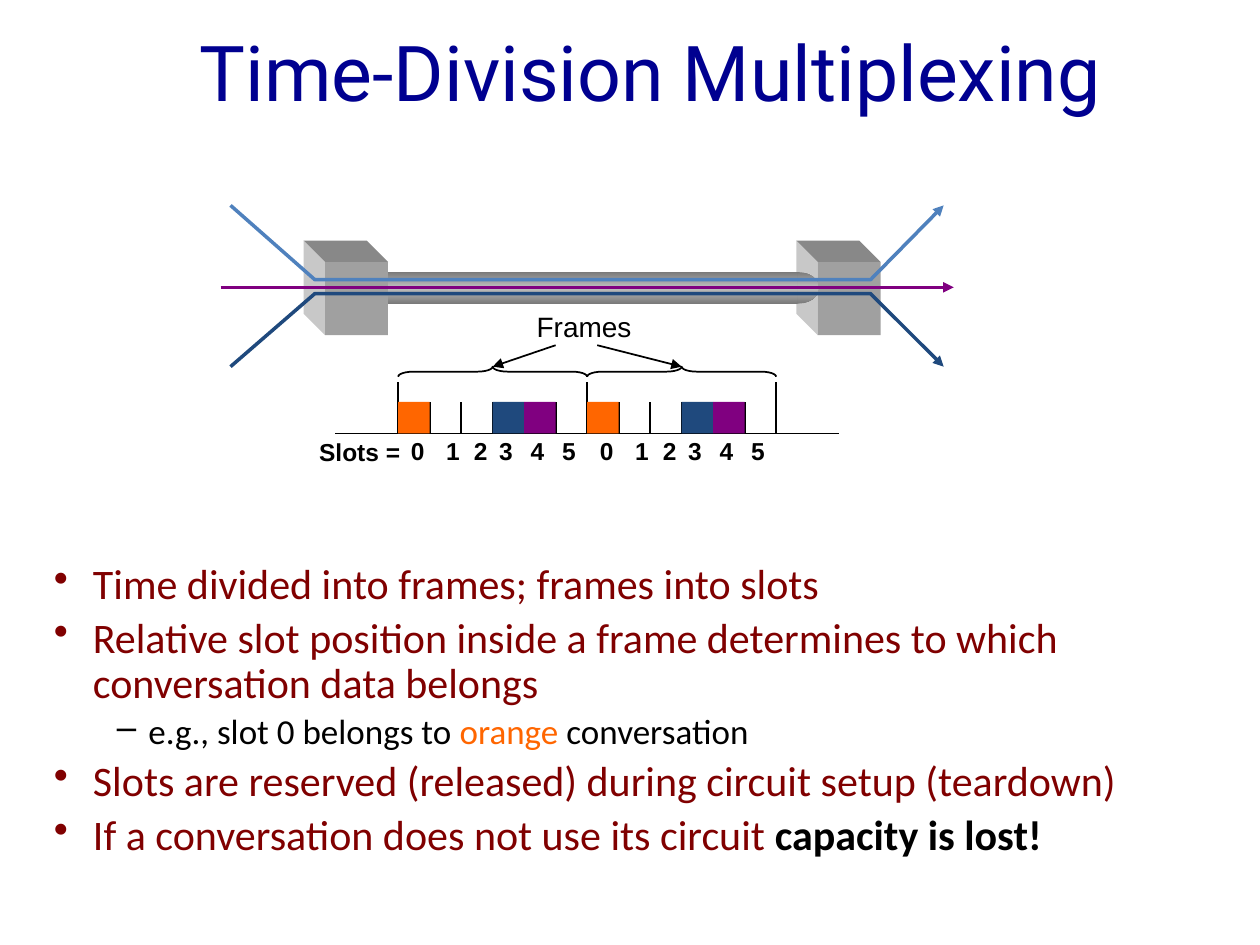
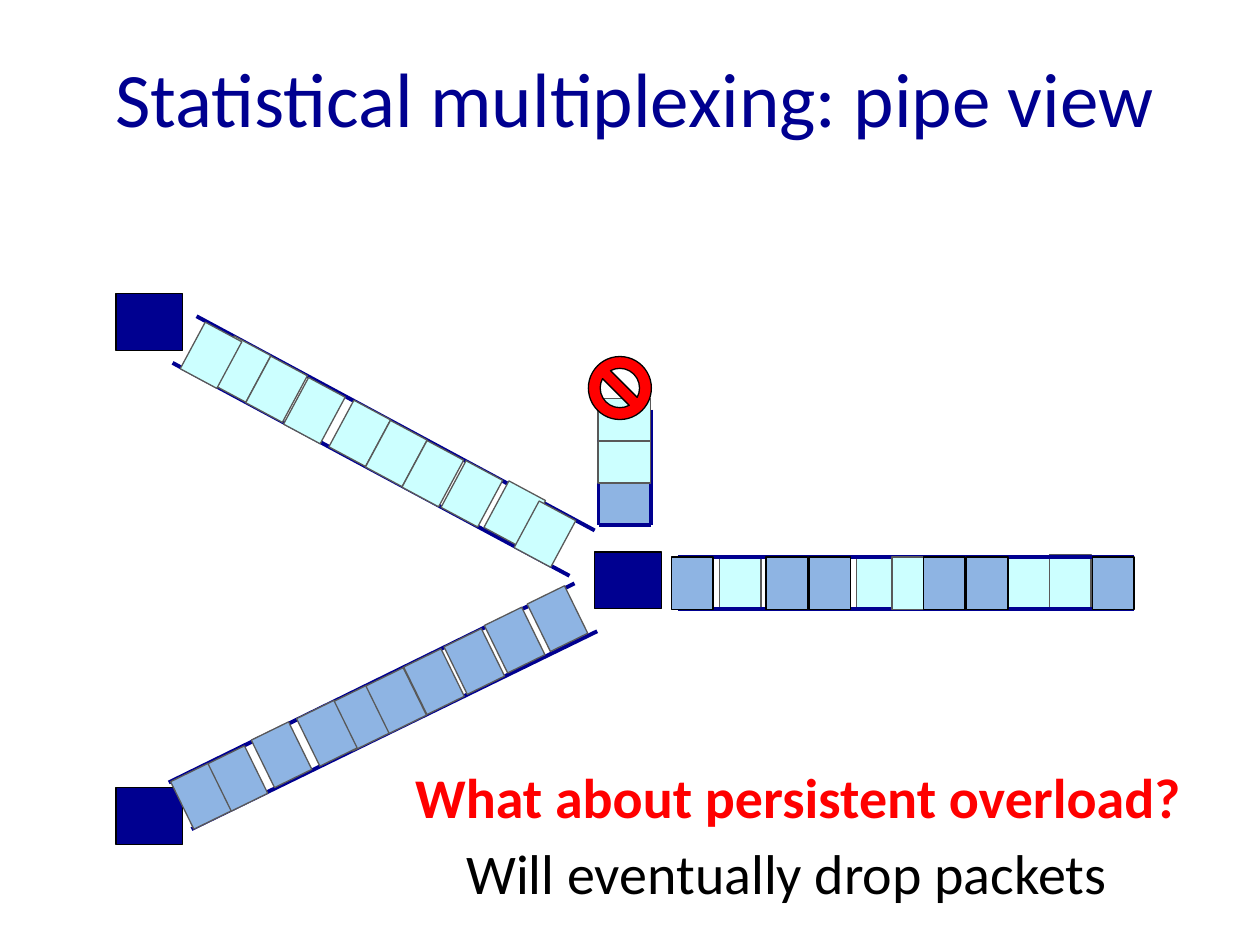
"""Build two slides on time-division and statistical multiplexing."""
from copy import deepcopy

from pptx import Presentation
from pptx.dml.color import RGBColor
from pptx.enum.shapes import MSO_CONNECTOR as Connector, MSO_SHAPE as Shape
from pptx.enum.text import MSO_ANCHOR as Anchor, PP_ALIGN as Align
from pptx.oxml.ns import qn
from pptx.oxml.xmlchemy import OxmlElement
from pptx.util import Emu, Pt

PX = 9144
NAVY, MAROON, ORANGE, PURPLE = "000090", "800000", "FF6600", "800080"
DARK_BLUE, MID_BLUE, PALE_BLUE, CYAN = "1F497D", "4F81BD", "8EB4E3", "CCFFFF"
BLACK, RED, GRAY = "000000", "FF0000", "595959"
SLOT, SLOTS_PER_FRAME = 25, 6
FRAME = SLOT * SLOTS_PER_FRAME
FRAME_STARTS = (316, 466)
BASELINE = 344
PACKET_WIDTH, PACKET_HEIGHT = 33, 42


def px(*lengths):
    """Turn px lengths into EMU."""
    return [Emu(length * PX) for length in lengths]


def rgb(value):
    """Turn a hex string into a colour."""
    return RGBColor.from_string(value)


def write_text(paragraph, text, *, size, color=BLACK, font="Calibri", bold=False):
    """Add one formatted run to a paragraph."""
    run = paragraph.add_run()
    run.text = text
    run.font.size = Pt(size)
    run.font.name = font
    run.font.bold = bold
    run.font.color.rgb = rgb(color)


def add_text(slide, box, text, *, anchor=Anchor.TOP, wrap=True, **text_format):
    """Add a centred one-paragraph text box."""
    frame = slide.shapes.add_textbox(*px(*box)).text_frame
    frame.word_wrap = wrap
    frame.vertical_anchor = anchor
    paragraph = frame.paragraphs[0]
    paragraph.alignment = Align.CENTER
    write_text(paragraph, text, **text_format)


def add_title(slide, box, text, font="Calibri"):
    """Add the slide title."""
    add_text(slide, box, text, anchor=Anchor.MIDDLE, size=44, color=NAVY, font=font)


def add_bullets(slide, box, items):
    """Add bulleted paragraphs from (level, runs) items."""
    styles = (("•", 31, 31, 24, MAROON), ("–", 75, 25, 20, BLACK))
    frame = slide.shapes.add_textbox(*px(*box)).text_frame
    frame.word_wrap = True
    for index, (level, runs) in enumerate(items):
        mark, margin, hanging, size, color = styles[level]
        paragraph = frame.add_paragraph() if index else frame.paragraphs[0]
        properties = paragraph._p.get_or_add_pPr()
        properties.set("marL", str(margin * PX))
        properties.set("indent", str(-hanging * PX))
        bullet = OxmlElement("a:buChar")
        bullet.set("char", mark)
        properties.append(bullet)
        paragraph.level = level
        paragraph.line_spacing = 0.9
        if index:
            paragraph.space_before = Pt(size * 0.2)
        for text, changes in runs:
            write_text(paragraph, text, **{"size": size, "color": color, **changes})


def style_shape(shape, fill=None, line=None, width=0.75):
    """Set fill and outline, leaving out what is not given."""
    shape.shadow.inherit = False
    if fill:
        shape.fill.solid()
        shape.fill.fore_color.rgb = rgb(fill)
    else:
        shape.fill.background()
    if line:
        shape.line.color.rgb = rgb(line)
        shape.line.width = Pt(width)
    else:
        shape.line.fill.background()


def add_shape(slide, kind, box, rotation=0, **style):
    """Add a styled preset shape."""
    shape = slide.shapes.add_shape(kind, *px(*box))
    shape.rotation = rotation
    style_shape(shape, **style)
    return shape


def add_arrowhead(shape):
    """Put a triangle at the end of a line."""
    head = OxmlElement("a:tailEnd")
    head.set("type", "triangle")
    shape._element.spPr.get_or_add_ln().append(head)


def add_line(slide, start, end, color=BLACK, width=1, arrow=False):
    """Add a straight line, with an arrowhead if wanted."""
    line = slide.shapes.add_connector(Connector.STRAIGHT, *px(*start, *end))
    line.line.color.rgb = rgb(color)
    line.line.width = Pt(width)
    if arrow:
        add_arrowhead(line)
    line._element.spPr.append(OxmlElement("a:effectLst"))


def add_outline(slide, points, closed=True, **style):
    """Add a freeform through the points."""
    builder = slide.shapes.build_freeform(*points[0], scale=PX)
    builder.add_line_segments(points[1:], close=closed)
    shape = builder.convert_to_shape()
    style_shape(shape, **style)
    return shape


def add_tube(slide, kind, box, edge, middle):
    """Add a shape shaded from edge to middle and back."""
    shape = add_shape(slide, kind, box)
    shape.fill.gradient()
    shape.fill.gradient_angle = 90
    stops = shape._element.spPr.find(qn("a:gradFill")).find(qn("a:gsLst"))
    stops.insert(1, deepcopy(stops[0]))
    shades = ((0, edge), (0.5, middle), (1, edge))
    for stop, (position, color) in zip(shape.fill.gradient_stops, shades):
        stop.position = position
        stop.color.rgb = rgb(color)


def add_multiplexer(slide, left, top=208, width=50, height=58, depth=17):
    """Add a box seen from its upper left."""
    right, bottom = left + width, top + height
    back_left, back_top = left - depth, top - depth
    add_outline(slide, [(left, top), (right, top), (right - depth, back_top),
                        (back_left, back_top)], fill="888888")
    add_outline(slide, [(left, top), (left, bottom), (back_left, bottom - depth),
                        (back_left, back_top)], fill="C8C8C8")
    add_shape(slide, Shape.RECTANGLE, (left, top, width, height), fill="A0A0A0")


def add_flow(slide, outer, inner, color):
    """Add a conversation that bends into the pipe and out again."""
    points = [(183, outer), (250, inner), (691, inner), (749, outer)]
    add_arrowhead(add_outline(slide, points, closed=False, line=color, width=2))


def add_slot_axis(slide):
    """Add the time axis with its ticks and filled slots."""
    add_line(slide, (266, BASELINE), (666, BASELINE))
    for tick in range(2 * SLOTS_PER_FRAME + 1):
        x = FRAME_STARTS[0] + tick * SLOT
        top = 303 if tick % SLOTS_PER_FRAME == 0 else BASELINE - SLOT
        add_line(slide, (x, BASELINE), (x, top))
    for slot, color in ((0, ORANGE), (3, DARK_BLUE), (4, PURPLE)):
        for start in FRAME_STARTS:
            box = (start + slot * SLOT, BASELINE - SLOT, SLOT, SLOT)
            add_shape(slide, Shape.RECTANGLE, box, fill=color)


def add_frame_labels(slide):
    """Add braces, arrows and slot numbers for both frames."""
    label = {"wrap": False, "font": "Arial"}
    add_text(slide, (416, 241, 95, 36), "Frames", size=16, **label)
    for start, arrow_start in zip(FRAME_STARTS, (441, 474)):
        middle = start + FRAME // 2
        brace = add_shape(slide, Shape.LEFT_BRACE, (middle - 4, 220, 8, FRAME),
                          rotation=90, line=BLACK, width=1)
        brace.adjustments[0] = 1.498
        add_line(slide, (arrow_start, 274), (middle, 291), arrow=True)
        for number, offset in enumerate((0, 28, 50, 70, 95, 120)):
            add_text(slide, (start + offset, 341, 31, 33), str(number),
                     size=14, bold=True, **label)
    add_text(slide, (241, 342, 89, 33), "Slots =", size=14, bold=True, **label)


def add_packets(slide, places, fill, rotation=0, line=GRAY):
    """Add one packet at each left and top."""
    for left, top in places:
        add_shape(slide, Shape.RECTANGLE, (left, top, PACKET_WIDTH, PACKET_HEIGHT),
                  rotation=rotation, fill=fill, line=line)


def add_walls(slide, *walls):
    """Add the walls of a pipe or queue."""
    for start, end in walls:
        add_line(slide, start, end, NAVY, 2.25)


def build_time_division(slide):
    """Fill the time-division slide."""
    add_title(slide, (50, 13, 933, 87), "Time-Division Multiplexing", "Roboto")
    add_bullets(slide, (33, 442, 950, 266), [
        (0, [("Time divided into frames; frames into slots", {})]),
        (0, [("Relative slot position inside a frame determines to which "
              "conversation data belongs", {})]),
        (1, [("e.g., slot 0 belongs to ", {}), ("orange", {"color": ORANGE}),
             (" conversation", {})]),
        (0, [("Slots are reserved (released) during circuit setup (teardown)", {})]),
        (0, [("If a conversation does not use its circuit ", {}),
             ("capacity is lost!", {"color": BLACK, "bold": True})]),
    ])
    add_slot_axis(slide)
    add_multiplexer(slide, 649)
    add_tube(slide, Shape.OVAL, (617, 216, 33, 25), "7A7A7A", "C0C0C0")
    add_tube(slide, Shape.RECTANGLE, (291, 216, 342, 25), "7A7A7A", "C0C0C0")
    add_multiplexer(slide, 258)
    add_flow(slide, 163, 222, MID_BLUE)
    add_line(slide, (175, 228), (757, 228), PURPLE, 2, arrow=True)
    add_flow(slide, 291, 233, DARK_BLUE)
    add_frame_labels(slide)


def build_pipe_view(slide):
    """Fill the statistical multiplexing slide."""
    add_title(slide, (50, 13, 908, 128), "Statistical multiplexing: pipe view")
    for left, top in ((472, 438), (92, 233), (92, 625)):
        add_shape(slide, Shape.RECTANGLE, (left, top, 53, 45), fill=NAVY, line=BLACK)
    add_text(slide, (267, 600, 733, 64), "What about persistent overload?",
             size=32, color=RED, bold=True)

    add_walls(slide, ((156, 251), (472, 421)), ((137, 288), (452, 457)))
    add_packets(slide, [(392, 387), (358, 371), (269, 323), (174, 272), (203, 288),
                        (233, 305), (298, 339), (327, 355), (151, 261), (416, 403)],
                CYAN, rotation=28.2)
    add_walls(slide, ((134, 621), (456, 463)), ((152, 658), (474, 501)))
    add_packets(slide, [(392, 487), (360, 504), (269, 549), (172, 597), (207, 578),
                        (243, 561), (298, 535), (328, 520), (143, 611), (426, 470)],
                PALE_BLUE, rotation=333.9)

    add_packets(slide, [(833, 440), (800, 441), (680, 442), (571, 442)], CYAN)
    add_walls(slide, *(((538, y), (900, y)) for y in (442, 483)))
    add_shape(slide, Shape.RECTANGLE, (708, 442, 25, PACKET_HEIGHT),
              fill=CYAN, line=GRAY)
    add_packets(slide, [(left, 442) for left in (608, 867, 733, 767, 642, 533)],
                PALE_BLUE, line=BLACK)

    add_packets(slide, [(479, 379)], PALE_BLUE, rotation=90)
    add_walls(slide, ((475, 325), (475, 417)), ((517, 325), (517, 417)),
              ((475, 417), (517, 417)))
    add_packets(slide, [(479, 346), (479, 312)], CYAN, rotation=90)
    add_shape(slide, Shape.NO_SYMBOL, (467, 283, 50, 50), fill=RED, line=BLACK)
    add_text(slide, (258, 661, 733, 64), "Will eventually drop packets", size=32)


def main():
    """Build and save the presentation."""
    presentation = Presentation()
    presentation.slide_width, presentation.slide_height = px(1000, 750)
    blank = presentation.slide_layouts[6]
    for build in (build_time_division, build_pipe_view):
        build(presentation.slides.add_slide(blank))
    presentation.save("out.pptx")


if __name__ == "__main__":
    main()
